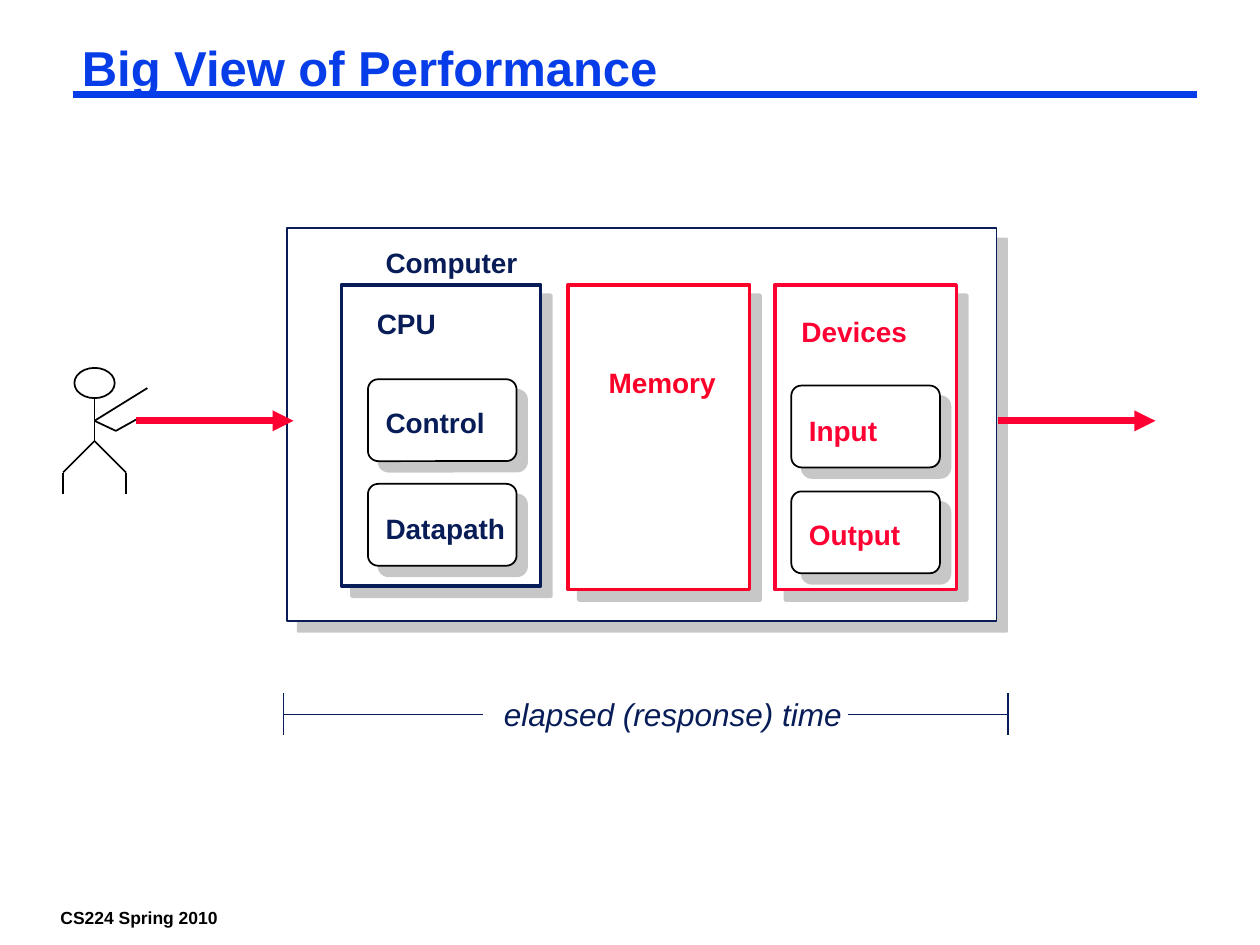
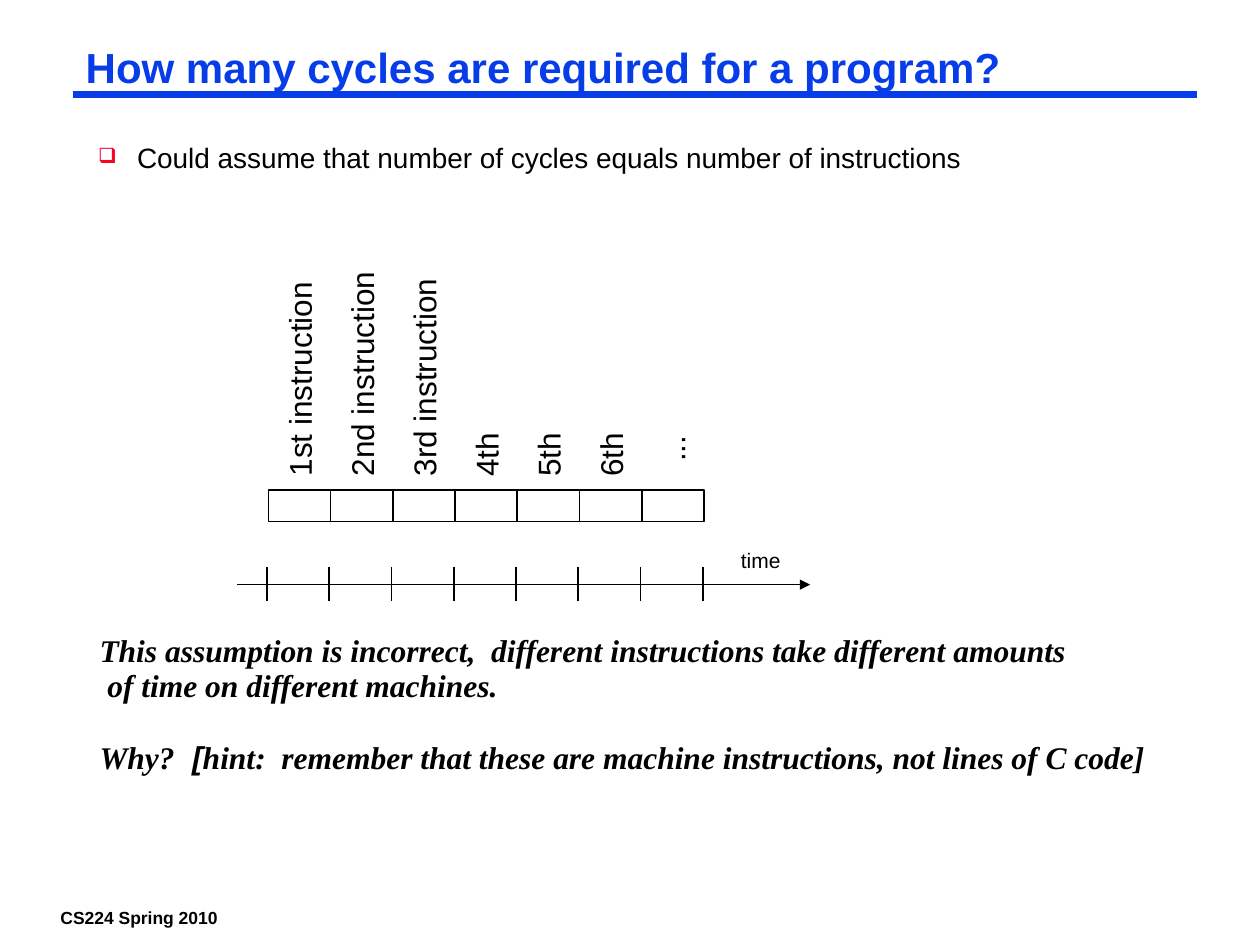
import pptx
import pptx.dml.color
import pptx.enum.shapes
import pptx.enum.text
import pptx.oxml
import pptx.oxml.ns
import pptx.util

Inches = pptx.util.Inches
Pt = pptx.util.Pt
rgb = pptx.dml.color.RGBColor.from_string
Preset = pptx.enum.shapes.MSO_SHAPE
Anchor = pptx.enum.text.MSO_ANCHOR
namespace = pptx.oxml.ns.nsdecls("a")

BLUE, NAVY, RED, CRIMSON = "063DE8", "081D58", "FC0128", "FF0033"
BLACK, WHITE, GRAY = "000000", "FFFFFF", "919191"
label_font = {"name": "Arial", "size": Pt(16), "bold": True}
tight_frame = {
    "margin_left": Inches(0.07), "margin_right": Inches(0.07),
    "margin_top": Inches(0.03), "margin_bottom": Inches(0.03),
    "word_wrap": False, "vertical_anchor": Anchor.TOP,
    "auto_size": pptx.enum.text.MSO_AUTO_SIZE.NONE,
}
wide_frame = tight_frame | {
    "margin_left": Inches(0.1), "margin_right": Inches(0.1),
    "margin_top": Inches(0.05), "margin_bottom": Inches(0.05),
}
narrow_frame = tight_frame | {"margin_left": Inches(0.02), "margin_right": Inches(0.02)}


def write_text(shape, box, text, font, color, frame=tight_frame, spacing=1.0):
    for name, length in zip(("left", "top", "width", "height"), box):
        setattr(shape, name, Inches(length))
    for name, value in frame.items():
        setattr(shape.text_frame, name, value)
    shape.text_frame.text = text
    for paragraph in shape.text_frame.paragraphs:
        paragraph.alignment = pptx.enum.text.PP_ALIGN.LEFT
        paragraph.line_spacing = spacing
        for run in paragraph.runs:
            for name, value in font.items():
                setattr(run.font, name, value)
            run.font.color.rgb = rgb(color)
    return shape


def add_line(slide, points, color=BLACK, width=1, arrow=False):
    line = slide.shapes.add_connector(
        pptx.enum.shapes.MSO_CONNECTOR.STRAIGHT, *[Inches(point) for point in points])
    line.line.color.rgb = rgb(color)
    line.line.width = Pt(width)
    if arrow:
        line.line._get_or_add_ln().append(
            pptx.oxml.parse_xml(f'<a:tailEnd {namespace} type="triangle"/>'))
    line._element.spPr.append(pptx.oxml.parse_xml(f"<a:effectLst {namespace}/>"))


presentation = pptx.Presentation()
presentation.slide_width = Inches(10)
presentation.slide_height = Inches(7.5)

for title, size, frame in [
    ("Big View of Performance", 28, tight_frame),
    ("How many cycles are required for a program?", 24,
     wide_frame | {"vertical_anchor": Anchor.MIDDLE}),
]:
    slide = presentation.slides.add_slide(presentation.slide_layouts[5])
    add_line(slide, (0.58, 0.75, 9.5, 0.75), BLUE, 4.5)
    write_text(slide.shapes.title, (0.58, 0.33, 8.92, 0.46), title,
               label_font | {"size": Pt(size)}, BLUE, frame | {"word_wrap": True}, 0.87)
    write_text(slide.shapes.add_textbox(0, 0, 0, 0), (0.41, 7.17, 1.39, 0.22),
               "CS224 Spring 2010", label_font | {"size": Pt(10)}, BLACK)

performance, cycles = presentation.slides

pitch = 0.494
instruction_cells = [
    (cycles, Preset.RECTANGLE, (2.13 + pitch * index, 3.89, pitch, 0.25), BLACK, 1, False)
    for index in range(7)
]
units = [
    (performance, Preset.ROUNDED_RECTANGLE, (left, top, 1.18, 0.65), BLACK, 1, True)
    for left, top in [(2.92, 3.01), (2.92, 3.84), (6.28, 3.06), (6.28, 3.9)]
]
computer_parts = [
    (performance, Preset.RECTANGLE, (2.28, 1.81, 5.63, 3.12), NAVY, 1, True),
    (performance, Preset.RECTANGLE, (2.71, 2.26, 1.58, 2.39), NAVY, 2, True),
    (performance, Preset.RECTANGLE, (4.51, 2.26, 1.44, 2.42), RED, 2, True),
    (performance, Preset.RECTANGLE, (6.15, 2.26, 1.44, 2.42), CRIMSON, 2, True),
]
user_head = (performance, Preset.OVAL, (0.59, 2.92, 0.32, 0.24), BLACK, 1, False)

for slide, preset, box, color, width, shadowed in [
        *computer_parts, *units, user_head, *instruction_cells]:
    shape = slide.shapes.add_shape(preset, *[Inches(length) for length in box])
    shape.shadow.inherit = False
    shape.fill.solid()
    shape.fill.fore_color.rgb = rgb(WHITE)
    shape.line.color.rgb = rgb(color)
    shape.line.width = Pt(width)
    if preset == Preset.ROUNDED_RECTANGLE:
        shape.adjustments[0] = 0.125
    if shadowed:
        effects = shape._element.spPr.find(pptx.oxml.ns.qn("a:effectLst"))
        effects.append(pptx.oxml.parse_xml(
            f'<a:outerShdw {namespace} blurRad="0" dist="{Pt(8.5)}" dir="2700000" '
            f'algn="ctr" rotWithShape="0"><a:srgbClr val="{GRAY}">'
            '<a:alpha val="50000"/></a:srgbClr></a:outerShdw>'))

for text, left, top, width, color in [
    ("Computer", 2.99, 1.92, 1.19, NAVY),
    ("CPU", 2.92, 2.4, 0.61, NAVY),
    ("Control", 2.99, 3.19, 0.93, NAVY),
    ("Datapath", 2.99, 4.03, 1.09, NAVY),
    ("Memory", 4.76, 2.87, 0.99, RED),
    ("Devices", 6.29, 2.47, 0.98, CRIMSON),
    ("Input", 6.35, 3.25, 0.68, CRIMSON),
    ("Output", 6.35, 4.08, 0.87, CRIMSON),
]:
    write_text(performance.shapes.add_textbox(0, 0, 0, 0), (left, top, width, 0.32),
               text, label_font, color)

for left in (1.08, 7.92):
    add_line(performance, (left, 3.34, left + 1.25, 3.34), CRIMSON, 4, True)

write_text(performance.shapes.add_textbox(0, 0, 0, 0), (3.9, 5.47, 2.95, 0.4),
           "elapsed (response) time",
           {"name": "Arial", "size": Pt(18), "italic": True}, NAVY, wide_frame)
for start, end in [(2.25, 3.83), (6.73, 8)]:
    add_line(performance, (start, 5.67, end, 5.67), NAVY)
for end in (2.25, 8):
    add_line(performance, (end, 5.5, end, 5.83), NAVY)

for limb in [
    (0.75, 3.17, 0.75, 3.5),
    (0.75, 3.5, 0.5, 3.75),
    (0.75, 3.5, 1, 3.75),
    (0.5, 3.75, 0.5, 3.92),
    (1, 3.75, 1, 3.92),
    (0.75, 3.34, 1.17, 3.08),
    (0.75, 3.34, 0.92, 3.42),
    (0.92, 3.42, 1.08, 3.33),
]:
    add_line(performance, limb)

plain_font = {"name": "Arial", "size": Pt(18)}
assumption = write_text(
    cycles.shapes.add_textbox(0, 0, 0, 0), (0.68, 1.1, 8.73, 0.5),
    "Could assume that number of cycles equals number of instructions",
    plain_font | {"size": Pt(16)}, BLACK, wide_frame | {"word_wrap": True}, 0.9)
properties = assumption.text_frame.paragraphs[0]._p.get_or_add_pPr()
properties.set("marL", str(Inches(0.31)))
properties.set("indent", str(Inches(-0.31)))
for bullet in [
    f'<a:buClr {namespace}><a:srgbClr val="{RED}"/></a:buClr>',
    f'<a:buSzPct {namespace} val="75000"/>',
    f'<a:buChar {namespace} char="❑"/>',
]:
    properties.append(pptx.oxml.parse_xml(bullet))

for index, (text, width, middle) in enumerate([
    ("1st instruction", 1.8, 2.9),
    ("2nd instruction", 1.8, 2.9),
    ("3rd instruction", 1.8, 2.9),
    ("4th", 0.67, 3.47),
    ("5th", 0.67, 3.47),
    ("6th", 0.67, 3.47),
    ("...", 0.67, 3.35),
]):
    center = 2.42 + pitch * index
    label = write_text(
        cycles.shapes.add_textbox(0, 0, 0, 0),
        (center - width / 2, middle - 0.21, width, 0.42),
        text, plain_font, BLACK, narrow_frame, Pt(20.5))
    label.rotation = 270

add_line(cycles, (1.88, 4.64, 6.43, 4.64), arrow=True)
for index in range(8):
    tick = 2.12 + pitch * index
    add_line(cycles, (tick, 4.77, tick, 4.5))
write_text(cycles.shapes.add_textbox(0, 0, 0, 0), (5.86, 4.33, 0.77, 0.33), "time",
           plain_font | {"size": Pt(12)}, BLACK, narrow_frame, Pt(13.5))

remark_font = {"name": "Times New Roman", "size": Pt(18), "bold": True, "italic": True}
remark = write_text(
    cycles.shapes.add_textbox(0, 0, 0, 0), (0.77, 4.99, 8.73, 2.1),
    "This assumption is incorrect,  different instructions take different amounts\n"
    " of time on different machines.",
    remark_font, BLACK, narrow_frame, Pt(20.5))
question = remark.text_frame.add_paragraph()
question.line_spacing = Pt(20.5)
question.space_before = Pt(20.5)
for text, font_name in [
    ("Why?", "Times New Roman"),
    ("  [", "Arial"),
    ("hint:  remember that these are machine instructions, not lines of C code]",
     "Times New Roman"),
]:
    run = question.add_run()
    run.text = text
    for name, value in (remark_font | {"name": font_name}).items():
        setattr(run.font, name, value)
    run.font.color.rgb = rgb(BLACK)

presentation.save("out.pptx")
